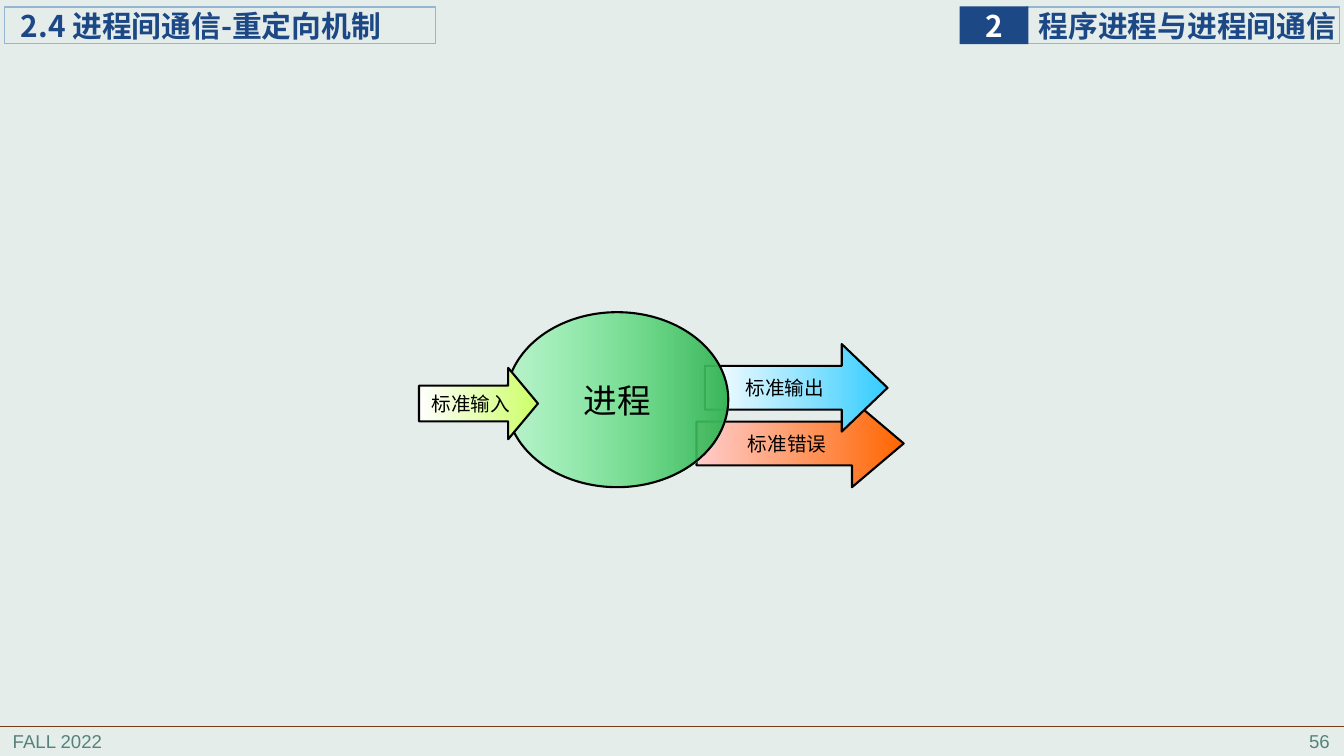
from lxml import etree
from pptx import Presentation
from pptx.dml.color import RGBColor
from pptx.enum.shapes import MSO_CONNECTOR, MSO_SHAPE
from pptx.enum.text import MSO_ANCHOR, MSO_AUTO_SIZE, PP_ALIGN
from pptx.oxml.ns import qn
from pptx.util import Pt

LEFT, CENTER, RIGHT = PP_ALIGN.LEFT, PP_ALIGN.CENTER, PP_ALIGN.RIGHT
TOP, MIDDLE = MSO_ANCHOR.TOP, MSO_ANCHOR.MIDDLE
RECT, OVAL, ARROW = MSO_SHAPE.RECTANGLE, MSO_SHAPE.OVAL, MSO_SHAPE.RIGHT_ARROW

THEME = {
    "background": RGBColor.from_string("E5EDEB"),
    "navy": RGBColor.from_string("1C4885"),
    "frame": RGBColor.from_string("94B6D2"),
    "footer": RGBColor.from_string("578279"),
    "rule": RGBColor.from_string("7B3D17"),
    "white": RGBColor.from_string("FFFFFF"),
    "black": RGBColor.from_string("000000"),
    "error": ("FFCCCC", "FF6600"),
    "output": ("FFFFFF", "33CCFF"),
    "process": ("51FD7E", "3AB55A"),
    "input": ("FFFFFF", "CCFF66"),
    "heading_font": "Noto Sans CJK SC",
    "heading_size": 21.3,
    "footer_size": 13.3,
    "process_size": 24,
    "stream_size": 14,
}


def set_text(sp, text, font, size, color, align=CENTER, anchor=MIDDLE,
             bold=False, wrap=False, insets=None):
    tf = sp.text_frame
    tf.text = text
    tf.auto_size = MSO_AUTO_SIZE.NONE
    tf.word_wrap = wrap
    tf.vertical_anchor = anchor
    if insets is not None:
        tf.margin_left = Pt(insets)
        tf.margin_top = tf.margin_right = tf.margin_bottom = 0
    p = tf.paragraphs[0]
    p.alignment = align
    r = p.runs[0]
    r.font.name, r.font.size, r.font.bold = font, Pt(size), bold
    r.font.color.rgb = color
    ea = etree.SubElement(r.font._element, qn("a:ea"))
    ea.set("typeface", THEME["heading_font"])


def add_shape(kind, left, top, width, height):
    sp = slide.shapes.add_shape(kind, Pt(left), Pt(top), Pt(width), Pt(height))
    sp.shadow.inherit = False
    return sp


prs = Presentation()
prs.slide_width, prs.slide_height = Pt(960), Pt(540)
slide = prs.slides.add_slide(prs.slide_layouts[5])
slide.background.fill.solid()
slide.background.fill.fore_color.rgb = THEME["background"]

# Footer
for text, left, align in (("FALL 2022", 2, LEFT), ("56", 757, RIGHT)):
    sp = slide.shapes.add_textbox(Pt(left), Pt(517.5), Pt(200), Pt(22.5))
    set_text(sp, text, "Arial", THEME["footer_size"], THEME["footer"],
             align, TOP, wrap=True)
rule = slide.shapes.add_connector(MSO_CONNECTOR.STRAIGHT, 0, Pt(519), Pt(960), Pt(519))
rule.line.color.rgb = THEME["rule"]
rule.line.width = Pt(0.5)
etree.SubElement(rule._element.spPr, qn("a:effectLst"))

# Section title and chapter name
title = slide.shapes.title
title.left, title.top, title.width, title.height = Pt(3.5), Pt(5), Pt(307.5), Pt(26)
chapter = add_shape(RECT, 733.5, 5, 223.5, 26)
for sp, text, inset, wrap in (
    (title, "2.4 进程间通信-重定向机制", 11.5, True),
    (chapter, "程序进程与进程间通信", 8.5, False),
):
    sp.fill.background()
    sp.line.color.rgb = THEME["frame"]
    sp.line.width = Pt(0.75)
    set_text(sp, text, THEME["heading_font"], THEME["heading_size"], THEME["navy"],
             LEFT, bold=True, wrap=wrap, insets=inset)

# Chapter number
number = add_shape(RECT, 685.5, 4.5, 49, 27)
number.fill.solid()
number.fill.fore_color.rgb = THEME["navy"]
number.line.fill.background()
set_text(number, "2", THEME["heading_font"], THEME["heading_size"], THEME["white"],
         bold=True, insets=0)

# Process and its standard streams, from back to front
diagram = (
    ("error", ARROW, "标准错误", (497.5, 285.5, 148, 62.5), 0.591),
    ("output", ARROW, "标准输出", (503.5, 245.75, 130.5, 62.5), 0.523),
    ("process", OVAL, "进程", (361.5, 223, 158.75, 125), None),
    ("input", ARROW, "标准输入", (299.25, 262.75, 85, 51), 0.417),
)
for name, kind, text, box, head in diagram:
    sp = add_shape(kind, *box)
    if head:
        sp.adjustments[0], sp.adjustments[1] = 0.5, head
    sp.fill.gradient()
    sp.fill.gradient_angle = 0
    for stop, color in zip(sp.fill.gradient_stops, THEME[name]):
        stop.color.rgb = RGBColor.from_string(color)
    sp.line.color.rgb = THEME["black"]
    sp.line.width = Pt(1.5)
    if name == "process":
        first = sp._element.spPr.find(".//" + qn("a:srgbClr"))
        etree.SubElement(first, qn("a:alpha")).set("val", "29000")
        font, size = "Arial", THEME["process_size"]
    else:
        font, size = "Calibri", THEME["stream_size"]
    set_text(sp, text, font, size, THEME["black"])

prs.save("out.pptx")
